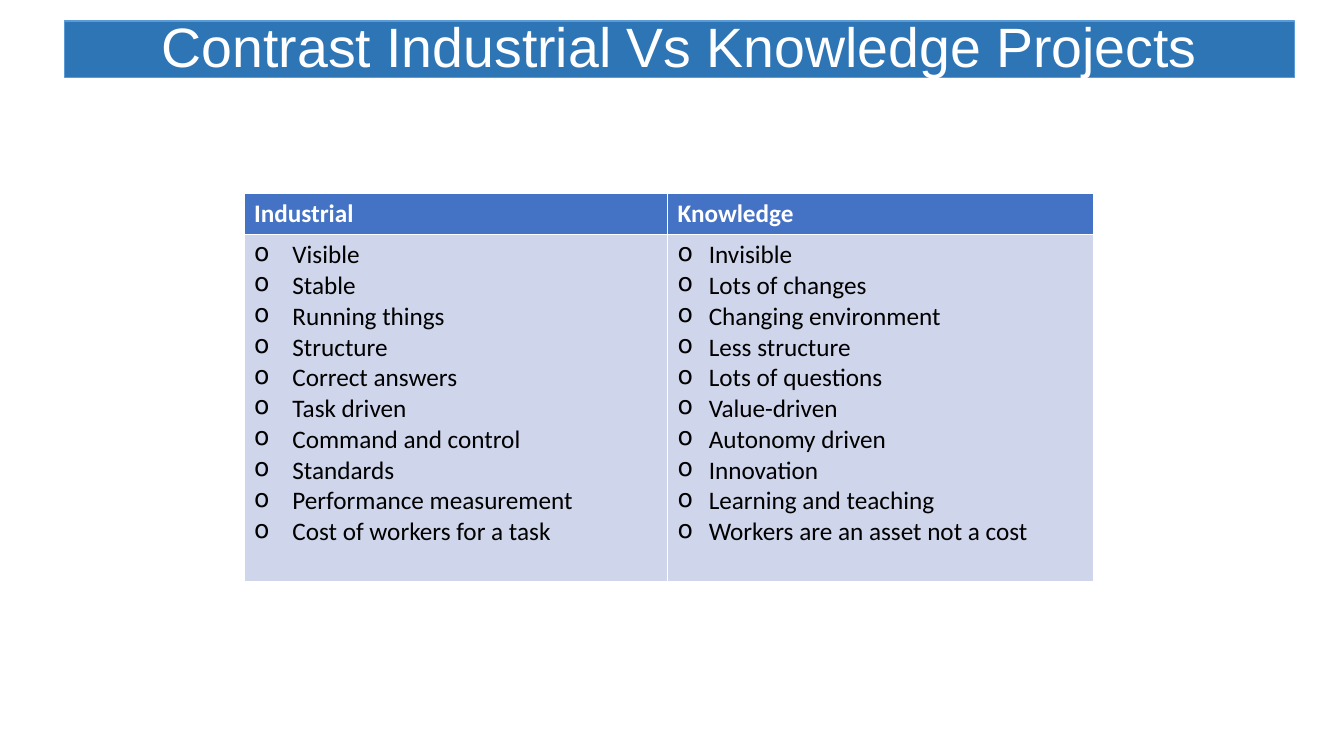
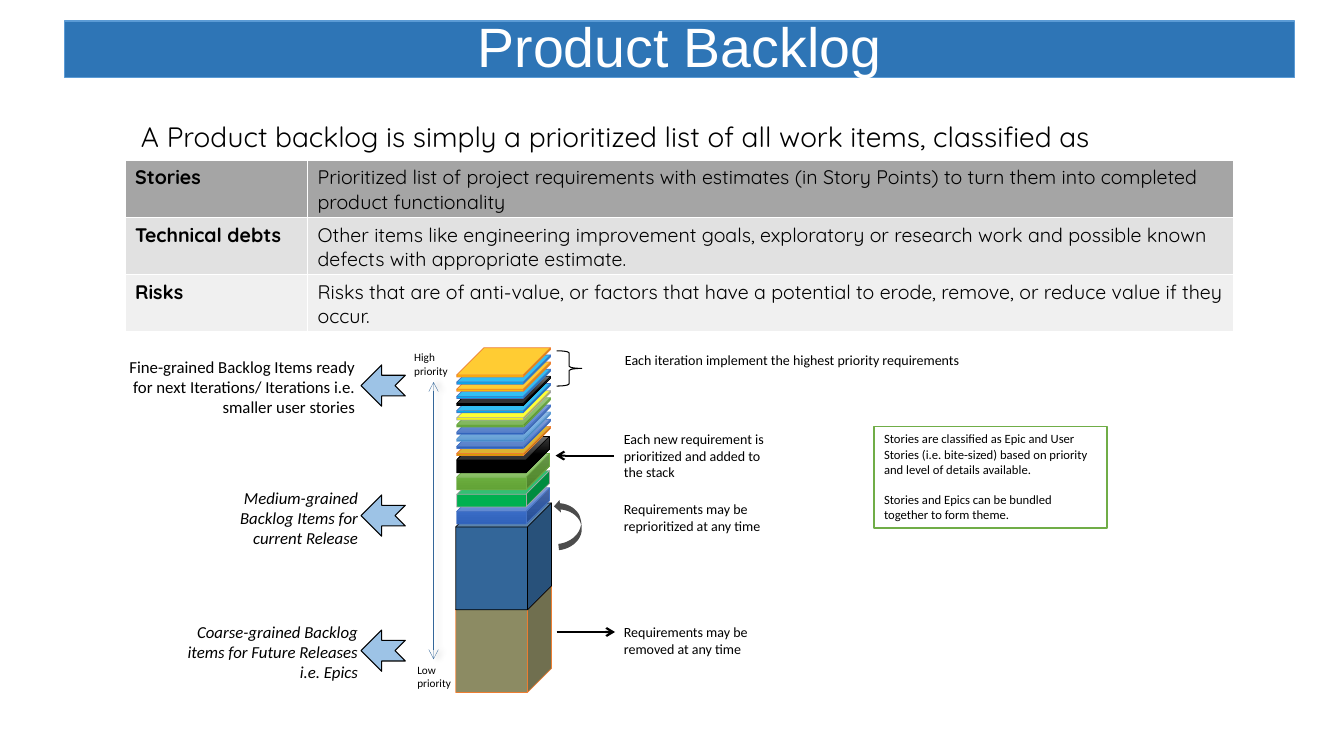
from dataclasses import dataclass

from lxml import etree
from pptx import Presentation
from pptx import util as u
from pptx.dml.color import RGBColor
from pptx.enum import shapes, text
from pptx.oxml import ns

Inches, Pt = u.Inches, u.Pt
Kind = shapes.MSO_SHAPE
Align = text.PP_ALIGN

COLORS = {
    "black": "000000", "white": "FFFFFF", "band": "2E75B6", "band edge": "5B9BD5",
    "header": "4472C4", "body": "CFD5EA", "steel": "336699", "olive": "8C8B63",
    "orange": "ED7D31", "gray": "A5A5A5", "light gray": "E1E1E1", "pale gray": "F0F0F0",
    "leaf": "70AD47", "emerald": "00B050", "mustard": "D2A000", "amber": "FFC000",
    "yellow": "FFFF00", "cyan": "00B0F0", "sky": "9DC3E6",
}
GRADIENTS = {
    "royal gradient": ("6183CB", "3E70CA", "3062BB"),
    "azure gradient": ("71A6DB", "559BDB", "448ACA"),
    "green gradient": ("81B861", "6FB242", "62A336"),
    "black gradient": ("4B4B4B", "000000", "000000"),
}


@dataclass(frozen=True)
class Style:
    size: float
    font: str = "Calibri"
    color: str = "black"
    bold: bool = False
    italic: bool = False
    align: Align = Align.LEFT


@dataclass(frozen=True)
class Frame:
    left: float
    top: float
    width: float
    height: float

    def lengths(self) -> list:
        return [Inches(v) for v in (self.left, self.top, self.width, self.height)]


@dataclass(frozen=True)
class Label:
    words: str
    frame: Frame
    style: Style


@dataclass(frozen=True)
class Stack:
    bottom_cube: Frame
    step: float
    depth: float
    finishes: tuple


@dataclass(frozen=True)
class Column:
    heading: str
    width: float
    indent: float
    items: tuple


NOTE = Style(10)
PRIORITY = Style(8)
GRAIN = Style(12, align=Align.RIGHT)
COARSE_GRAIN = Style(12, italic=True, align=Align.RIGHT)

COLUMNS = (
    Column("Industrial", 4.2, 0.38, (
        "Visible", "Stable", "Running things", "Structure", "Correct answers",
        "Task driven", "Command and control", "Standards",
        "Performance measurement", "Cost of workers for a task")),
    Column("Knowledge", 4.23, 0.31, (
        "Invisible", "Lots of changes", "Changing environment", "Less structure",
        "Lots of questions", "Value-driven", "Autonomy driven", "Innovation",
        "Learning and teaching", "Workers are an asset not a cost")),
)

WORK_ITEMS = (
    ("Stories", "Prioritized list of project requirements with estimates (in Story Points) "
     "to turn them into completed product functionality", "gray"),
    ("Technical debts", "Other items like engineering improvement goals, exploratory or research "
     "work and possible known defects with appropriate estimate.", "light gray"),
    ("Risks", "Risks that are of anti-value, or factors that have a potential to erode, remove, "
     "or reduce value if they occur.", "pale gray"),
)

STACKS = (
    Stack(Frame(4.52, 5.81, 0.95, 1.06), 0.82, 0.25,
          (("olive", "orange"), ("steel", "black"))),
    Stack(Frame(4.53, 4.84, 0.92, 0.36), 0.17, 0.65, (
        ("royal gradient", "header"), ("emerald", "gray"),
        ("green gradient", "leaf"), ("black gradient", "black"))),
    Stack(Frame(4.53, 4.23, 0.93, 0.29), 0.78 / 11, 0.93, (
        ("mustard", "orange"), ("royal gradient", "header"),
        ("azure gradient", "band edge"), ("royal gradient", "header"),
        ("green gradient", "leaf"), ("yellow", "gray"), ("cyan", "header"),
        ("black gradient", "black"), ("cyan", "header"), ("amber", "orange"),
        ("cyan", "header"), ("amber", "orange"))),
)

LABELS = (
    Label("A Product backlog is simply a prioritized list of all work items, classified as",
          Frame(1.3, 1.14, 11.15, 0.44), Style(20, "Quicksand")),
    Label("High priority", Frame(4.01, 3.43, 0.66, 0.37), PRIORITY),
    Label("Low priority", Frame(4.04, 6.53, 0.59, 0.37), PRIORITY),
    Label("Fine-grained Backlog Items ready for next Iterations/ Iterations i.e. "
          "smaller user stories", Frame(1.05, 3.49, 2.57, 0.91), GRAIN),
    Label("Medium-grained Backlog Items for current Release",
          Frame(1.79, 4.79, 1.86, 0.71), COARSE_GRAIN),
    Label("Coarse-grained Backlog items for Future Releases i.e. Epics",
          Frame(1.58, 6.12, 2.07, 0.71), COARSE_GRAIN),
    Label("Each iteration implement the highest priority requirements",
          Frame(6.1, 3.44, 3.72, 0.44), NOTE),
    Label("Requirements may be reprioritized at any time",
          Frame(6.09, 4.92, 1.63, 0.61), NOTE),
    Label("Requirements may be removed at any time",
          Frame(6.09, 6.14, 1.63, 0.44), NOTE),
)
NEW_REQUIREMENT = Label("Each new requirement is prioritized and added to the stack",
                        Frame(6.09, 4.22, 1.63, 0.6), NOTE)


def rgb(name: str) -> RGBColor:
    return RGBColor.from_string(COLORS[name])


def add_xml(parent, tag: str, **attributes):
    return etree.SubElement(parent, ns.qn(tag), attributes)


def style_paragraph(para, style: Style) -> None:
    para.alignment = style.align
    font = para.font
    font.size, font.name = Pt(style.size), style.font
    font.bold, font.italic = style.bold, style.italic
    font.color.rgb = rgb(style.color)


def write(frame, lines, style: Style, bullet_indent: float = 0) -> list:
    frame.word_wrap = True
    paras = []
    for index, line in enumerate(lines):
        para = frame.add_paragraph() if index else frame.paragraphs[0]
        para.text = line
        if bullet_indent:
            properties = para._p.get_or_add_pPr()
            properties.set("marL", str(Inches(bullet_indent)))
            properties.set("indent", str(-Inches(bullet_indent)))
            add_xml(properties, "a:buChar", char="o")
        style_paragraph(para, style)
        paras.append(para)
    return paras


def paint(shape, fill: str) -> None:
    if fill not in GRADIENTS:
        shape.fill.solid()
        shape.fill.fore_color.rgb = rgb(fill)
        return
    shape.fill.gradient()
    shape.fill.gradient_angle = 270
    stops = shape._element.spPr.find(".//" + ns.qn("a:gsLst"))
    stops.clear()
    for index, value in enumerate(GRADIENTS[fill]):
        stop = add_xml(stops, "a:gs", pos=str(index * 50000))
        add_xml(stop, "a:srgbClr", val=value)


def add_figure(page, kind: Kind, frame: Frame, fill: str = "", line: str = "",
               weight: float = 1):
    shape = page.shapes.add_shape(kind, *frame.lengths())
    shape.shadow.inherit = False
    if fill:
        paint(shape, fill)
    else:
        shape.fill.background()
    if line:
        shape.line.color.rgb = rgb(line)
        shape.line.width = Pt(weight)
    else:
        shape.line.fill.background()
    return shape


def add_label(page, label: Label):
    box = page.shapes.add_textbox(*label.frame.lengths())
    write(box.text_frame, [label.words], label.style)
    box.text_frame.auto_size = text.MSO_AUTO_SIZE.SHAPE_TO_FIT_TEXT
    return box


def add_arrow(page, start: tuple, end: tuple, color: str, weight: float,
              both_ends: bool = False):
    arrow = page.shapes.add_connector(
        shapes.MSO_CONNECTOR.STRAIGHT, *[Inches(v) for v in start + end])
    arrow.line.color.rgb = rgb(color)
    arrow.line.width = Pt(weight)
    line = arrow.line._get_or_add_ln()
    for tag in ("a:headEnd", "a:tailEnd") if both_ends else ("a:tailEnd",):
        add_xml(line, tag, type="arrow")
    return arrow, add_xml(arrow._element.spPr, "a:effectLst")


def add_titled_page(deck, title: str):
    page = deck.slides.add_slide(deck.slide_layouts[6])
    band = add_figure(page, Kind.RECTANGLE, Frame(0.64, 0.21, 12.2, 0.56), "band", "band edge")
    band.text_frame.vertical_anchor = text.MSO_ANCHOR.MIDDLE
    style = Style(39.6, "Arial", "white", align=Align.CENTER)
    write(band.text_frame, [title], style)[0].line_spacing = 0.9
    return page


def add_grid(page, frame: Frame, widths: tuple, heights: tuple):
    table = page.shapes.add_table(len(heights), len(widths), *frame.lengths()).table
    for column, width in zip(table.columns, widths):
        column.width = Inches(width)
    for row, height in zip(table.rows, heights):
        row.height = Inches(height)
    return table


def fill_cell(cell, fill: str, lines, style: Style, bullet_indent: float = 0) -> None:
    cell.fill.solid()
    cell.fill.fore_color.rgb = rgb(fill)
    write(cell.text_frame, lines, style, bullet_indent)


def build_contrast(deck) -> None:
    page = add_titled_page(deck, "Contrast Industrial Vs Knowledge Projects")
    table = add_grid(page, Frame(2.42, 1.92, 8.43, 3.85),
                     tuple(column.width for column in COLUMNS), (0.41, 3.44))
    for index, column in enumerate(COLUMNS):
        fill_cell(table.cell(0, index), "header", [column.heading],
                  Style(18, color="white", bold=True))
        fill_cell(table.cell(1, index), "body", column.items, Style(18), column.indent)


def build_backlog(deck) -> None:
    page = add_titled_page(deck, "Product Backlog")
    for stack in STACKS:
        base = stack.bottom_cube
        for index, (fill, line) in enumerate(stack.finishes):
            place = Frame(base.left, base.top - index * stack.step, base.width, base.height)
            cube = add_figure(page, Kind.CUBE, place, fill, line, 0.5)
            cube.adjustments[0] = stack.depth

    effects = add_arrow(page, (4.3, 3.79), (4.3, 6.54), "steel", 0.25, both_ends=True)[1]
    shadow = add_xml(effects, "a:outerShdw", blurRad=str(Pt(4)), dist=str(Pt(3)), dir="0")
    add_xml(add_xml(shadow, "a:srgbClr", val=COLORS["black"]), "a:alpha", val="40000")

    for label in LABELS:
        add_label(page, label)
    for top in (3.62, 4.91, 6.25):
        pointer = add_figure(page, Kind.NOTCHED_RIGHT_ARROW, Frame(3.58, top, 0.44, 0.41),
                             "sky", "black", 0.75)
        pointer.rotation = 180

    callout = add_figure(page, Kind.RECTANGLE, Frame(8.67, 4.23, 2.31, 1.01), "white", "leaf")
    callout.text_frame.vertical_anchor = text.MSO_ANCHOR.TOP
    paras = write(callout.text_frame, (
        "Stories are classified as Epic and User Stories (i.e. bite-sized) based on priority "
        "and level of details available.",
        "Stories and Epics can be bundled together to form theme."), Style(9))
    paras[1].space_before = Pt(11)

    table = add_grid(page, Frame(1.24, 1.59, 11, 1.7), (1.81, 9.19), (1.7 / 3,) * 3)
    for row, (name, meaning, fill) in enumerate(WORK_ITEMS):
        fill_cell(table.cell(row, 0), fill, [name], Style(14, "Quicksand", bold=True))
        fill_cell(table.cell(row, 1), fill, [meaning], Style(14, "Quicksand"))

    add_figure(page, Kind.RIGHT_BRACE, Frame(5.52, 3.48, 0.25, 0.35), line="black", weight=0.75)
    requirement = add_label(page, NEW_REQUIREMENT)
    incoming = add_arrow(page, (6.09, 4.52), (5.51, 4.52), "black", 1.5)[0]
    incoming.begin_connect(requirement, 1)
    add_arrow(page, (5.52, 6.27), (6.1, 6.27), "black", 1.5)

    swirl = add_figure(page, Kind.CURVED_UP_ARROW, Frame(5.39, 5.07, 0.5, 0.25), "black")
    swirl.rotation = 263.4
    color = swirl._element.spPr.find(ns.qn("a:solidFill"))[0]
    add_xml(color, "a:alpha", val="70000")


def main() -> None:
    deck = Presentation()
    deck.slide_width, deck.slide_height = Inches(13.33), Inches(7.5)
    build_contrast(deck)
    build_backlog(deck)
    deck.save("out.pptx")


if __name__ == "__main__":
    main()
